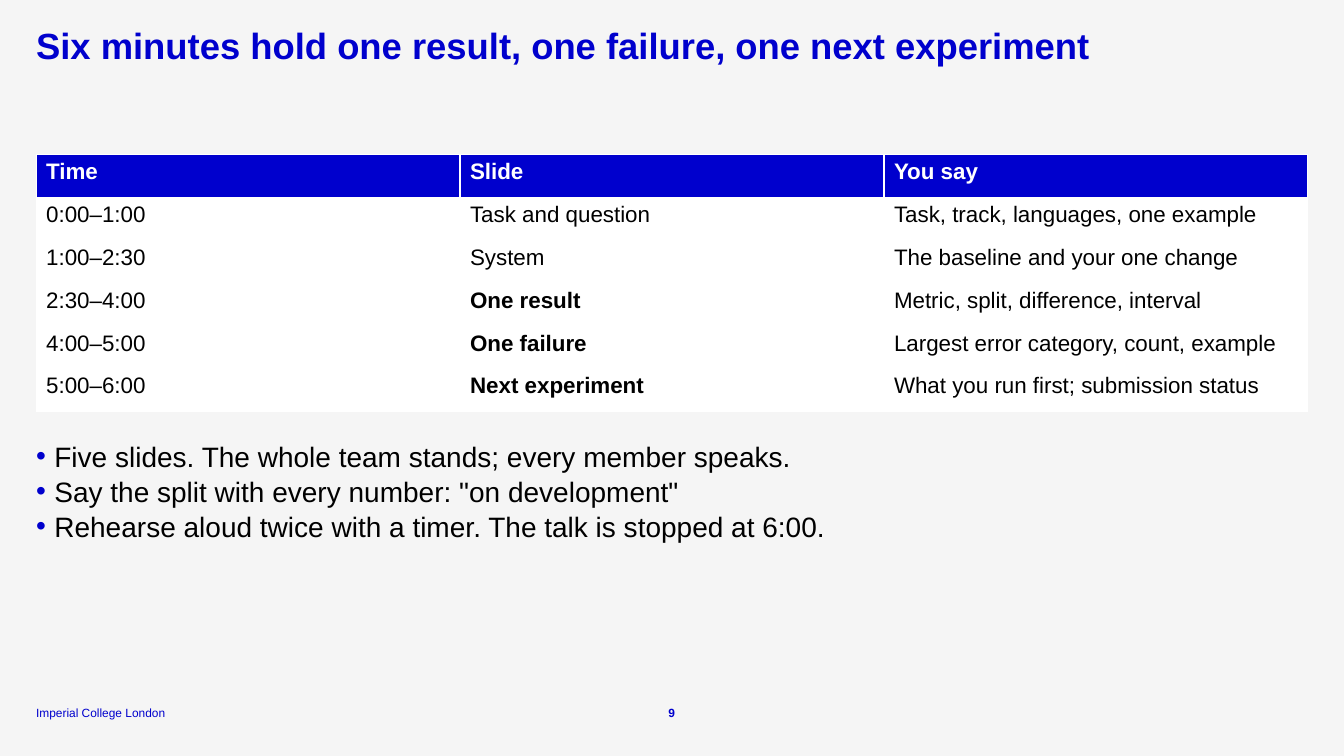
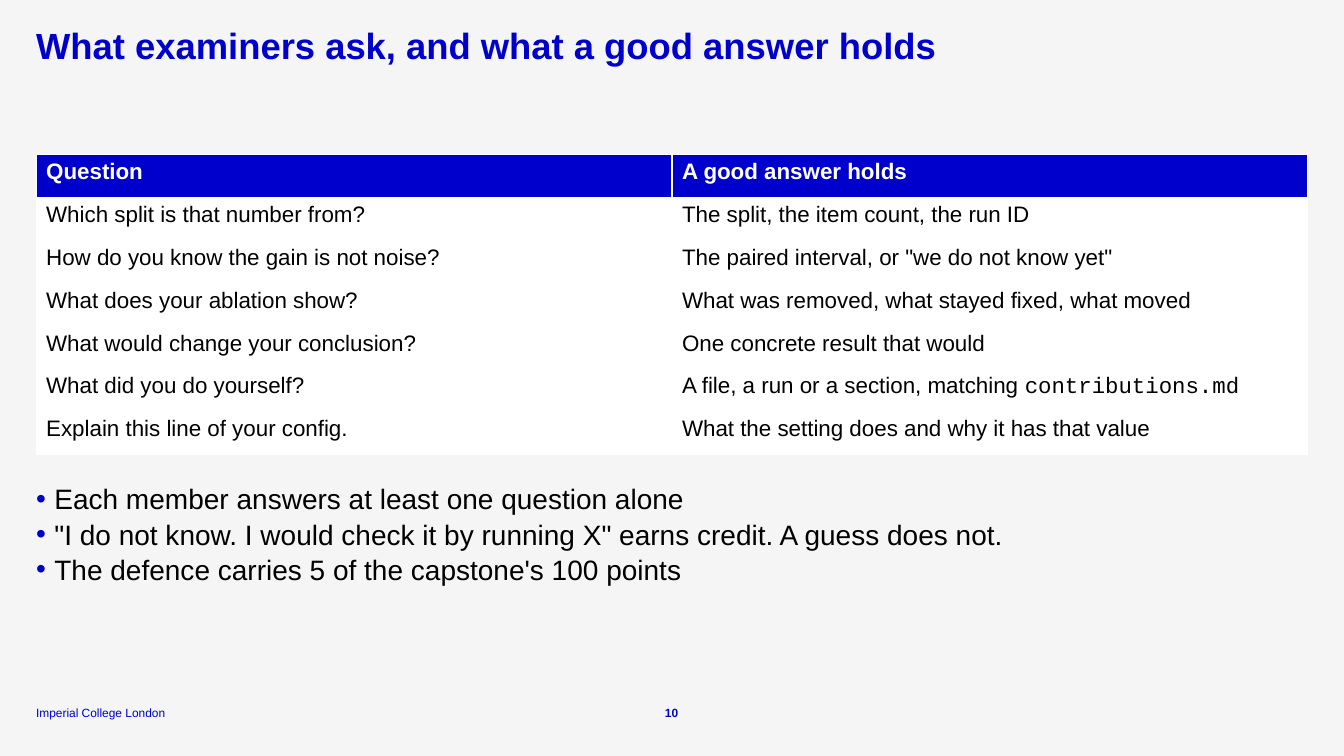
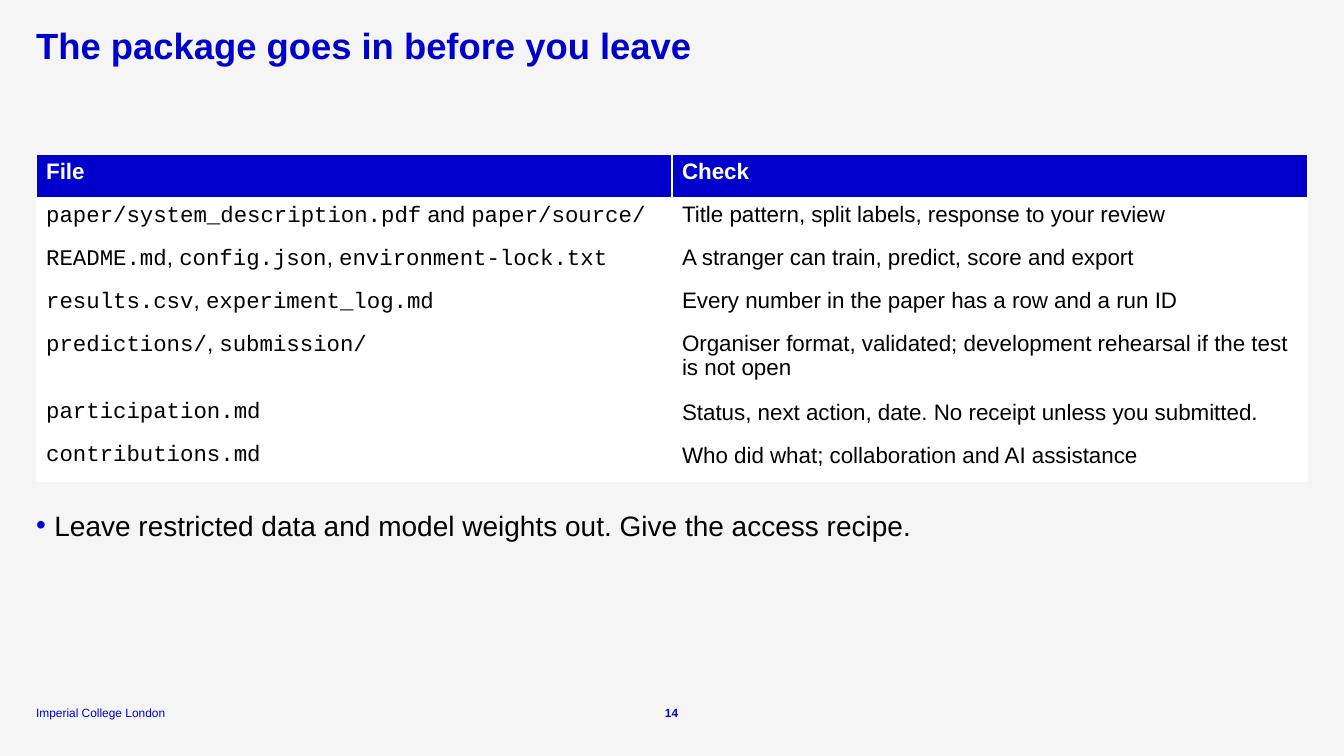
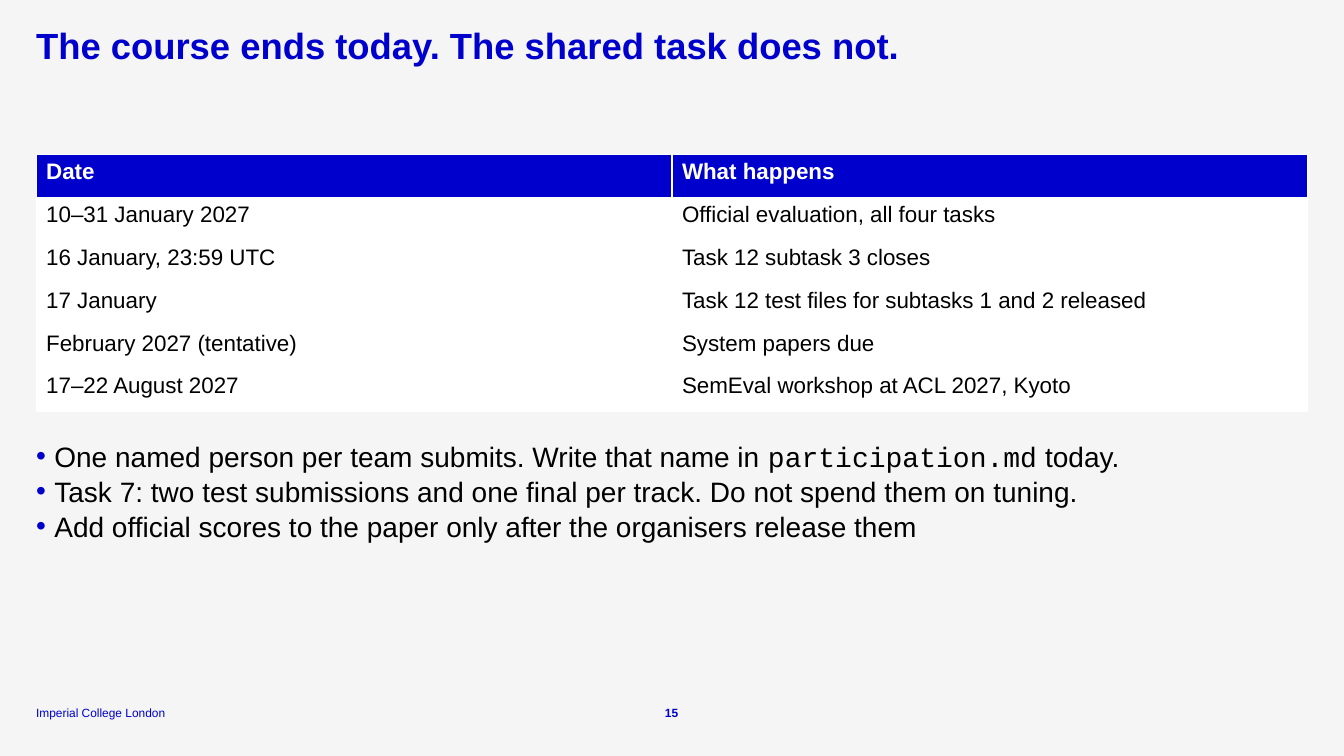
from dataclasses import dataclass
from typing import Any

import pptx
import pptx.dml.color
import pptx.enum.text
import pptx.oxml
import pptx.oxml.ns
import pptx.util

Cm = pptx.util.Cm
Pt = pptx.util.Pt
Align = pptx.enum.text.PP_ALIGN
Anchor = pptx.enum.text.MSO_ANCHOR

COLOURS = {"blue": "0000CD", "paper": "F5F5F5", "white": "FFFFFF", "black": "000000"}
TEXT_FONT = "Arial"
CODE_FONT = "Courier New"

LEFT = Cm(0.91)
CONTENT_WIDTH = Cm(32.05)
TABLE_TOP = Cm(3.89)
ROW_HEIGHT = Cm(1.08)
TALL_ROW_HEIGHT = Cm(1.75)
LIST_GAP = Cm(0.65)
BULLET_HEIGHT = Cm(1.26)
BULLET_INDENT = Cm(0.46)
FOOTER_TOP = Cm(17.75)
FOOTER_HEIGHT = Cm(0.38)

FRAME_FORMAT = {
    "margin_left": 0, "margin_right": 0, "margin_top": 0, "margin_bottom": 0,
    "word_wrap": True, "auto_size": pptx.enum.text.MSO_AUTO_SIZE.NONE,
}
TITLE_PARA = {"alignment": Align.LEFT, "line_spacing": 0.9, "space_before": Pt(0)}
BULLET_PARA = {"level": 2, "alignment": Align.LEFT, "line_spacing": 1.05,
               "space_before": Pt(0)}


@dataclass(frozen=True)
class TextStyle:
    size: float
    colour: str
    bold: bool = False


TITLE = TextStyle(26, "blue", True)
BULLET = TextStyle(20, "black")
HEADER = TextStyle(16, "white", True)
CELL = TextStyle(16, "black")
CELL_STRONG = TextStyle(16, "black", True)
FOOTER = TextStyle(8.5, "blue")
PAGE_NUMBER = TextStyle(8.5, "blue", True)


@dataclass(frozen=True)
class PageContent:
    number: int
    title: str
    rows: list[tuple[str, ...]]
    bullets: list[str]
    tall_rows: tuple[int, ...] = ()
    strong_cells: tuple[tuple[int, int], ...] = ()


PAGES = [
    PageContent(
        9, "Six minutes hold one result, one failure, one next experiment",
        [
            ("Time", "Slide", "You say"),
            ("0:00–1:00", "Task and question", "Task, track, languages, one example"),
            ("1:00–2:30", "System", "The baseline and your one change"),
            ("2:30–4:00", "One result", "Metric, split, difference, interval"),
            ("4:00–5:00", "One failure", "Largest error category, count, example"),
            ("5:00–6:00", "Next experiment", "What you run first; submission status"),
        ],
        [
            "Five slides. The whole team stands; every member speaks.",
            'Say the split with every number: "on development"',
            "Rehearse aloud twice with a timer. The talk is stopped at 6:00.",
        ],
        strong_cells=((3, 1), (4, 1), (5, 1)),
    ),
    PageContent(
        10, "What examiners ask, and what a good answer holds",
        [
            ("Question", "A good answer holds"),
            ("Which split is that number from?", "The split, the item count, the run ID"),
            ("How do you know the gain is not noise?",
             'The paired interval, or "we do not know yet"'),
            ("What does your ablation show?",
             "What was removed, what stayed fixed, what moved"),
            ("What would change your conclusion?", "One concrete result that would"),
            ("What did you do yourself?",
             "A file, a run or a section, matching `contributions.md`"),
            ("Explain this line of your config.",
             "What the setting does and why it has that value"),
        ],
        [
            "Each member answers at least one question alone",
            '"I do not know. I would check it by running X" earns credit. A guess does not.',
            "The defence carries 5 of the capstone's 100 points",
        ],
    ),
    PageContent(
        14, "The package goes in before you leave",
        [
            ("File", "Check"),
            ("`paper/system_description.pdf` and `paper/source/`",
             "Title pattern, split labels, response to your review"),
            ("`README.md`, `config.json`, `environment-lock.txt`",
             "A stranger can train, predict, score and export"),
            ("`results.csv`, `experiment_log.md`",
             "Every number in the paper has a row and a run ID"),
            ("`predictions/`, `submission/`",
             "Organiser format, validated; development rehearsal if the test is not open"),
            ("`participation.md`",
             "Status, next action, date. No receipt unless you submitted."),
            ("`contributions.md`", "Who did what; collaboration and AI assistance"),
        ],
        ["Leave restricted data and model weights out. Give the access recipe."],
        tall_rows=(4,),
    ),
    PageContent(
        15, "The course ends today. The shared task does not.",
        [
            ("Date", "What happens"),
            ("10–31 January 2027", "Official evaluation, all four tasks"),
            ("16 January, 23:59 UTC", "Task 12 subtask 3 closes"),
            ("17 January", "Task 12 test files for subtasks 1 and 2 released"),
            ("February 2027 (tentative)", "System papers due"),
            ("17–22 August 2027", "SemEval workshop at ACL 2027, Kyoto"),
        ],
        [
            "One named person per team submits. Write that name in `participation.md` today.",
            "Task 7: two test submissions and one final per track. Do not spend them on tuning.",
            "Add official scores to the paper only after the organisers release them",
        ],
    ),
]


def colour(name: str) -> pptx.dml.color.RGBColor:
    return pptx.dml.color.RGBColor.from_string(COLOURS[name])


def set_all(target: Any, values: dict[str, Any]) -> None:
    for name, value in values.items():
        setattr(target, name, value)


def place(box: Any, left: int, top: int, width: int, height: int) -> None:
    set_all(box, {"left": left, "top": top, "width": width, "height": height})


def write(para: Any, text: str, style: TextStyle) -> None:
    """Fill a paragraph; parts between backticks take the code font."""
    for index, part in enumerate(text.split("`")):
        if not part:
            continue
        span = para.add_run()
        span.text = part
        set_all(span.font, {
            "name": CODE_FONT if index % 2 else TEXT_FONT,
            "size": Pt(style.size),
            "bold": style.bold,
        })
        span.font.color.rgb = colour(style.colour)


def add_bullet_mark(para: Any) -> None:
    properties = para._p.get_or_add_pPr()
    properties.set("marL", str(BULLET_INDENT))
    properties.set("indent", str(-BULLET_INDENT))
    namespace = pptx.oxml.ns.nsdecls("a")
    for mark in (
        f'<a:buClr {namespace}><a:srgbClr val="{COLOURS["blue"]}"/></a:buClr>',
        f'<a:buFont {namespace} typeface="{TEXT_FONT}"/>',
        f'<a:buChar {namespace} char="•"/>',
    ):
        properties.append(pptx.oxml.parse_xml(mark))


def write_title(page: Any, text: str) -> None:
    box = page.shapes.title
    place(box, LEFT, Cm(0.71), CONTENT_WIDTH, Cm(1.04))
    set_all(box.text_frame, FRAME_FORMAT | {"vertical_anchor": Anchor.TOP})
    para = box.text_frame.paragraphs[0]
    set_all(para, TITLE_PARA)
    write(para, text, TITLE)


def add_content_table(page: Any, content: PageContent) -> int:
    """Draw the table and return the position of its lower edge."""
    row_count, column_count = len(content.rows), len(content.rows[0])
    heights = [TALL_ROW_HEIGHT if row in content.tall_rows else ROW_HEIGHT
               for row in range(row_count)]
    table = page.shapes.add_table(row_count, column_count, LEFT, TABLE_TOP,
                                  CONTENT_WIDTH, sum(heights)).table
    table.horz_banding = False
    for column in table.columns:
        column.width = CONTENT_WIDTH // column_count
    for row, texts in enumerate(content.rows):
        table.rows[row].height = heights[row]
        for column, text in enumerate(texts):
            cell = table.cell(row, column)
            cell.fill.solid()
            cell.fill.fore_color.rgb = colour("white" if row else "blue")
            strong = (row, column) in content.strong_cells
            style = HEADER if row == 0 else CELL_STRONG if strong else CELL
            write(cell.text_frame.paragraphs[0], text, style)
    return TABLE_TOP + sum(heights)


def write_bullets(page: Any, bullets: list[str], top: int) -> None:
    box = page.placeholders[1]
    place(box, LEFT, top, CONTENT_WIDTH, BULLET_HEIGHT * len(bullets))
    frame = box.text_frame
    set_all(frame, FRAME_FORMAT | {"vertical_anchor": Anchor.TOP})
    for index, text in enumerate(bullets):
        para = frame.add_paragraph() if index else frame.paragraphs[0]
        add_bullet_mark(para)
        set_all(para, BULLET_PARA)
        write(para, text, BULLET)


def add_footer_text(page: Any, text: str, left: int, width: int,
                    style: TextStyle, alignment: Any) -> None:
    box = page.shapes.add_textbox(left, FOOTER_TOP, width, FOOTER_HEIGHT)
    set_all(box.text_frame, FRAME_FORMAT | {"vertical_anchor": Anchor.BOTTOM})
    para = box.text_frame.paragraphs[0]
    para.alignment = alignment
    write(para, text, style)


def add_page(deck: Any, content: PageContent) -> None:
    page = deck.slides.add_slide(deck.slide_layouts.get_by_name("Title and Content"))
    write_title(page, content.title)
    table_bottom = add_content_table(page, content)
    write_bullets(page, content.bullets, table_bottom + LIST_GAP)
    add_footer_text(page, "Imperial College London", LEFT, Cm(3.94), FOOTER, Align.LEFT)
    add_footer_text(page, str(content.number), Cm(16.48), Cm(0.89), PAGE_NUMBER,
                    Align.CENTER)


def main() -> None:
    deck = pptx.Presentation()
    set_all(deck, {"slide_width": Cm(33.87), "slide_height": Cm(19.05)})
    background = deck.slide_master.background.fill
    background.solid()
    background.fore_color.rgb = colour("paper")
    for content in PAGES:
        add_page(deck, content)
    deck.save("out.pptx")


if __name__ == "__main__":
    main()
